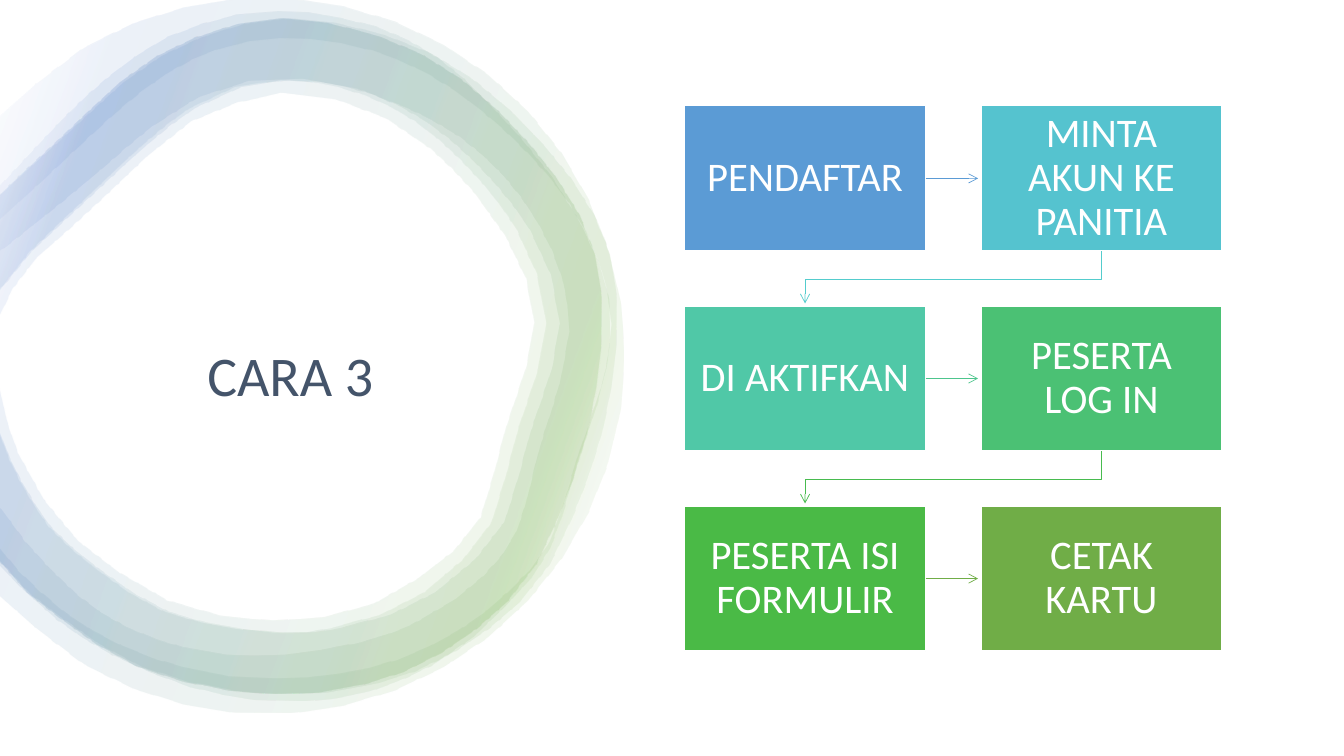
from math import acos, ceil, cos, dist, sin
from lxml.etree import SubElement, fromstring
from pptx import Presentation
from pptx.dml.color import RGBColor as RGB
from pptx.enum.shapes import MSO_CONNECTOR as Link, MSO_SHAPE as Kind
from pptx.enum.text import MSO_ANCHOR as Anchor, PP_ALIGN as Align
from pptx.oxml.ns import nsdecls, qn
from pptx.util import Inches, Pt

# Content: label, box colour, colour of the arrow that leaves it
TITLE = "CARA 3"
STEPS = [
    ("PENDAFTAR", RGB(0x5B, 0x9B, 0xD5), RGB(0x5B, 0x9B, 0xD5)),
    ("MINTA AKUN KE PANITIA", RGB(0x55, 0xC3, 0xCF), RGB(0x54, 0xCC, 0xCD)),
    ("DI AKTIFKAN", RGB(0x50, 0xC8, 0xA7), RGB(0x4D, 0xC5, 0x8D)),
    ("PESERTA LOG IN", RGB(0x4B, 0xC1, 0x74), RGB(0x48, 0xBB, 0x4F)),
    ("PESERTA ISI FORMULIR", RGB(0x4A, 0xBA, 0x46), RGB(0x70, 0xAD, 0x47)),
    ("CETAK KARTU", RGB(0x70, 0xAD, 0x47), None),
]
WHITE = RGB(0xFF, 0xFF, 0xFF)
NAVY = RGB(0x44, 0x54, 0x6A)
GREEN = RGB(0x70, 0xAD, 0x47)
BLUE = RGB(0x44, 0x72, 0xC4)
STOPS = [(2, WHITE), (16, GREEN), (85, BLUE), (100, WHITE)]
FONT = "Calibri"

# Grid of steps, in inches
COLS = 2
LEFT, TOP = 6.79, 1.05
WIDE, HIGH = 2.39, 1.44
STEP_X, STEP_Y = 2.94, 1.985
REACH, TURN = 0.52, 0.28

# Brush rings: outer edges run clockwise from the left side, inner ones back
OUT_A = [
    (0, 1.84), (.61, 1.19), (1.09, .75), (1.66, .37), (2.34, .15),
    (2.75, .12), (3.05, .13), (3.73, .27), (4.34, .58), (4.84, 1.03),
    (5.47, 1.76), (5.94, 2.62), (6.05, 3.29), (5.93, 3.96), (5.74, 4.52),
    (5.57, 5.11), (5.45, 5.43), (5.27, 5.72), (4.69, 6.31), (4.28, 6.59),
    (3.66, 6.85), (3, 6.95), (2.51, 6.93), (1.86, 6.8), (1.11, 6.49),
    (.56, 6.14), (.2, 5.82), (0, 5.61)]
IN_A = [
    (0, 5.03), (.25, 5.37), (.76, 5.89), (1.25, 6.21), (1.81, 6.41),
    (2.24, 6.48), (2.82, 6.48), (3.53, 6.37), (4.07, 6.19), (4.5, 5.94),
    (4.78, 5.71), (4.97, 5.5), (5.11, 5.27), (5.2, 5.01), (5.35, 4.41),
    (5.54, 3.81), (5.64, 3.29), (5.56, 2.74), (5.33, 2.22), (4.99, 1.75),
    (4.55, 1.36), (4.04, 1.08), (3.53, .88), (2.99, .79), (2.46, .81),
    (1.96, .97), (1.5, 1.26), (1.05, 1.64), (.57, 2.04), (0, 2.49)]
OUT_B = [
    (0, 1.93), (.59, 1.39), (1.6, .55), (2.86, .18), (4.28, .53),
    (5.38, 1.42), (6.05, 2.52), (6.06, 3.86), (5.67, 5.14), (5.15, 5.97),
    (4.1, 6.66), (2.79, 6.88), (1.41, 6.61), (.29, 5.88), (0, 5.56)]
IN_B = [
    (0, 4.29), (.09, 4.53), (.36, 5.02), (.73, 5.44), (1.67, 6.06),
    (2.79, 6.27), (3.37, 6.22), (3.87, 6.09), (4.31, 5.87), (4.71, 5.54),
    (5, 5.17), (5.14, 4.72), (5.26, 4.27), (5.47, 3.65), (5.55, 3.2),
    (5.46, 2.72), (5.25, 2.27), (4.91, 1.82), (4.46, 1.38), (3.98, 1.06),
    (3.44, .86), (2.86, .79), (2.39, .86), (1.93, 1.07), (1.47, 1.42),
    (1.03, 1.82), (.64, 2.18), (.31, 2.49), (0, 2.87)]
IN_C = [
    (0, 3.83), (.07, 4.16), (.18, 4.48), (.44, 4.95), (.78, 5.36),
    (1.67, 5.95), (2.71, 6.15), (3.71, 5.98), (4.51, 5.45), (4.77, 5.12),
    (4.9, 4.69), (5.02, 4.23), (5.23, 3.6), (5.3, 3.19), (5.22, 2.76),
    (5.01, 2.33), (4.7, 1.9), (4.27, 1.47), (3.83, 1.17), (3.33, .98),
    (2.79, .92), (1.9, 1.2), (1.08, 1.91), (.69, 2.27), (.37, 2.55),
    (.13, 2.86), (0, 3.13)]
IN_D = [
    (0, 5.44), (.17, 5.65), (.65, 6.08), (1.2, 6.4), (1.79, 6.61),
    (2.26, 6.7), (2.73, 6.72), (3.04, 6.71), (3.66, 6.62), (4.24, 6.41),
    (4.78, 6.08), (5.24, 5.65), (5.42, 5.4), (5.54, 5.1), (5.73, 4.47),
    (5.94, 3.85), (6.05, 3.22), (5.92, 2.59), (5.63, 2.02), (5.22, 1.52),
    (4.75, 1.09), (4.24, .74), (3.67, .5), (3.07, .39), (2.47, .41),
    (1.9, .59), (1.38, .92), (.9, 1.34), (.42, 1.79), (0, 2.17)]


def arc(mid_x, mid_y, rad, count=16):
    """Circle cut off by the slide's left side."""
    half = acos(-mid_x / rad)
    turns = [half * (2 * i / count - 1) for i in range(count + 1)]
    return [(mid_x + rad * cos(t), mid_y + rad * sin(t)) for t in turns]


def squeeze(edge, share=0.976):
    return [(x * share, y) for x, y in edge]


def smooth(edge, reach=0.55):
    """Catmull-Rom curve through an edge, in pieces no longer than reach."""
    ends = [edge[0], *edge, edge[-1]]
    curve = []
    for a, b, c, d in zip(ends, ends[1:], ends[2:], ends[3:]):
        parts = ceil(dist(b, c) / reach)
        for i in range(parts):
            t = i / parts
            curve.append(tuple(
                b[k] + t / 2 * (c[k] - a[k]
                + t * (2 * a[k] - 5 * b[k] + 4 * c[k] - d[k])
                + t * t * (3 * (b[k] - c[k]) + d[k] - a[k])) for k in (0, 1)))
    return [(max(x, 0), y) for x, y in curve + [edge[-1]]]


def outline(dots, close):
    dots = [(Inches(x), Inches(y)) for x, y in dots]
    build = slide.shapes.build_freeform(*dots[0])
    build.add_line_segments(dots[1:], close=close)
    shape = build.convert_to_shape()
    shape.shadow.inherit = False
    return shape


def tint(shape):
    """Faint gradient from green to blue."""
    stops = "".join(
        f'<a:gs pos="{pos * 1000}"><a:srgbClr val="{hue}">'
        f'<a:alpha val="10000"/></a:srgbClr></a:gs>' for pos, hue in STOPS)
    grad = fromstring(
        f'<a:gradFill {nsdecls("a")} rotWithShape="1"><a:gsLst>{stops}</a:gsLst>'
        f'<a:lin ang="{200 * 60000}" scaled="0"/></a:gradFill>')
    shape.line.fill.background()
    shape._element.spPr.find(qn("a:custGeom")).addnext(grad)


def point(line, hue):
    line.color.rgb = hue
    line.width = Pt(0.5)
    SubElement(line._get_or_add_ln(), qn("a:tailEnd"), type="arrow")


def write(shape, text, size, hue, inset):
    frame = shape.text_frame
    frame.word_wrap = True
    frame.vertical_anchor = Anchor.MIDDLE
    frame.margin_left = frame.margin_right = Inches(inset)
    para = frame.paragraphs[0]
    para.text = text
    para.alignment = Align.CENTER
    para.line_spacing = 0.9
    para.font.name, para.font.size = FONT, Pt(size)
    para.font.color.rgb = hue


deck = Presentation()
deck.slide_width, deck.slide_height = Inches(13.33), Inches(7.5)
slide = deck.slides.add_slide(deck.slide_layouts[6])

# Rings
slim = squeeze(OUT_B)
for outer, inner in [(OUT_A, IN_A), (OUT_B, IN_B), (slim, IN_C),
                     (slim, squeeze(IN_B)), (arc(2.63, 3.53, 3.55), IN_D)]:
    tint(outline(smooth(outer) + smooth(inner), True))

# Title
title = slide.shapes.add_textbox(*map(Inches, (0.88, 2.21, 4, 3.08)))
write(title, TITLE, 40, NAVY, 0.1)

# Steps and the arrows between them
for i, (label, fill, hue) in enumerate(STEPS):
    row, col = divmod(i, COLS)
    x, y = LEFT + col * STEP_X, TOP + row * STEP_Y
    box = slide.shapes.add_shape(Kind.RECTANGLE, *map(Inches, (x, y, WIDE, HIGH)))
    box.shadow.inherit = False
    box.fill.solid()
    box.fill.fore_color.rgb = fill
    box.line.color.rgb = WHITE
    box.line.width = Pt(1)
    write(box, label, 29, WHITE, 0.12)
    if hue is None:
        continue
    if col < COLS - 1:
        side, mid = x + WIDE, y + HIGH / 2
        arrow = slide.shapes.add_connector(
            Link.STRAIGHT, *map(Inches, (side, mid, side + REACH, mid)))
        arrow.begin_connect(box, 3)
        SubElement(arrow._element.spPr, qn("a:effectLst"))
    else:
        start, base, goal = x + WIDE / 2, y + HIGH, LEFT + WIDE / 2
        arrow = outline([(start, base), (start, base + TURN),
                         (goal, base + TURN), (goal, base + REACH)], False)
        arrow.fill.background()
    point(arrow.line, hue)

deck.save("out.pptx")
